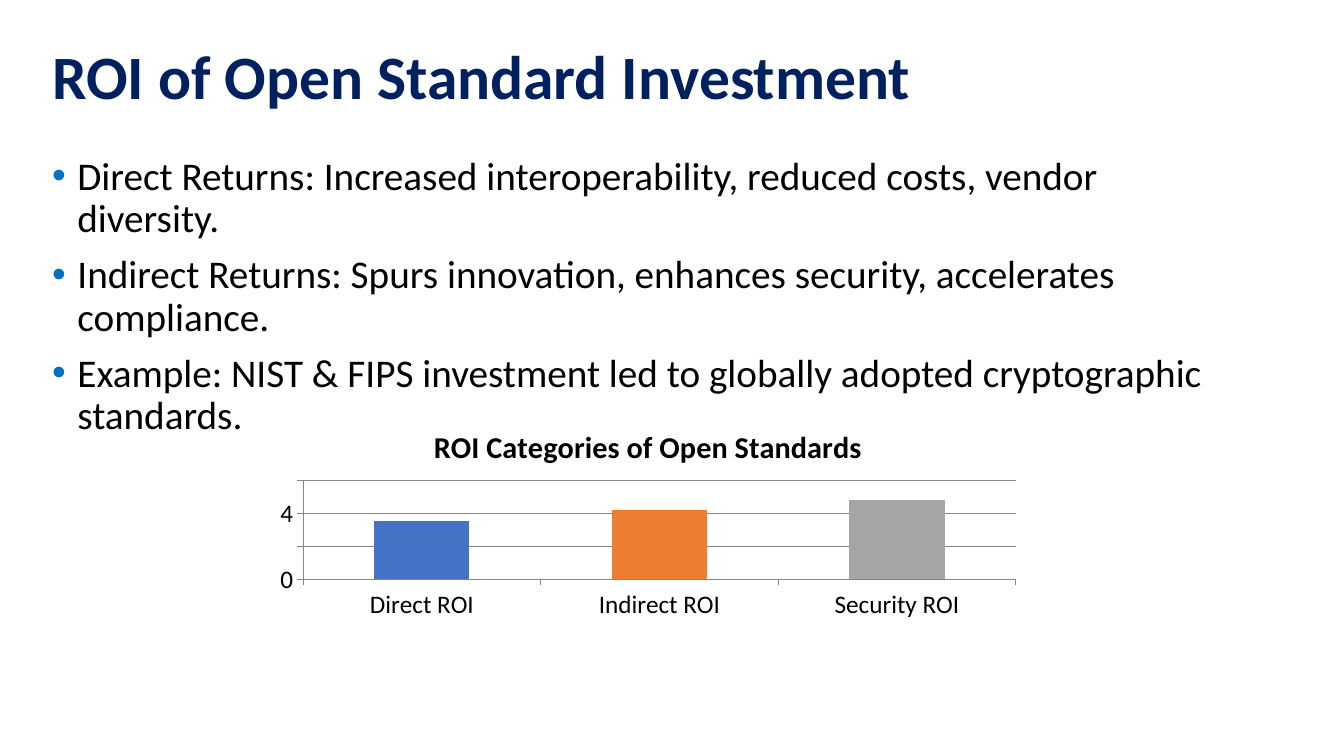
import pptx
import pptx.chart.data
import pptx.dml.color
import pptx.enum.chart
import pptx.enum.text
import pptx.oxml
import pptx.oxml.ns
import pptx.util

Pt = pptx.util.Pt
FONT = "Calibri"
TITLE = "ROI of Open Standard Investment"
POINTS = [
    "Direct Returns: Increased interoperability, reduced costs, vendor diversity.",
    "Indirect Returns: Spurs innovation, enhances security, accelerates compliance.",
    "Example: NIST & FIPS investment led to globally adopted cryptographic standards.",
]
CHART_TITLE = "ROI Categories of Open Standards"
RETURNS = [
    ("Direct ROI", 3.5, "4472C4"),
    ("Indirect ROI", 4.2, "ED7D31"),
    ("Security ROI", 4.8, "A5A5A5"),
]
LEFT, WIDTH = 30.24, 864
INDENT = 18


def color(value):
    return pptx.dml.color.RGBColor.from_string(value)


def set_font(font, size, value, bold=False):
    font.name = FONT
    font.size = Pt(size)
    font.bold = bold
    font.color.rgb = color(value)


def add_text(page, top, height, lines, size, value, bold=False, bullets=False):
    box = page.shapes.add_textbox(Pt(LEFT), Pt(top), Pt(WIDTH), Pt(height))
    frame = box.text_frame
    frame.word_wrap = True
    frame.text = "\n".join(lines)
    for index, para in enumerate(frame.paragraphs):
        para.line_spacing = 0.9
        if index:
            para.space_before = Pt(10)
        if bullets:
            add_bullet(para, "0070C0")
        set_font(para.font, size, value, bold)
    return frame


def add_bullet(para, value):
    properties = para._p.get_or_add_pPr()
    properties.set("marL", str(Pt(INDENT)))
    properties.set("indent", str(-Pt(INDENT)))
    namespace = pptx.oxml.ns.nsdecls("a")
    for markup in (
        f'<a:buClr {namespace}><a:srgbClr val="{value}"/></a:buClr>',
        f'<a:buFont {namespace} typeface="Arial"/>',
        f'<a:buChar {namespace} char="•"/>',
    ):
        properties.append(pptx.oxml.parse_xml(markup))


def add_returns_chart(page):
    names, values, fills = zip(*RETURNS)
    data = pptx.chart.data.CategoryChartData()
    data.categories = names
    data.add_series("Series 1", values)
    chart = page.shapes.add_chart(
        pptx.enum.chart.XL_CHART_TYPE.COLUMN_CLUSTERED,
        Pt(189.36), Pt(293.04), Pt(547.2), Pt(152.64), data).chart
    set_font(chart.font, 18, "000000")
    chart.has_legend = False
    chart.has_title = True
    chart.chart_title.include_in_layout = False
    heading = chart.chart_title.text_frame
    heading.text = CHART_TITLE
    set_font(heading.paragraphs[0].font, 21.6, "000000", True)

    plot = chart.plots[0]
    plot.gap_width = 150
    plot.vary_by_categories = False
    for index, fill_value in enumerate(fills):
        fill = plot.series[0].points[index].format.fill
        fill.solid()
        fill.fore_color.rgb = color(fill_value)

    scale = chart.value_axis
    scale.minimum_scale, scale.maximum_scale, scale.major_unit = 0, 6, 2
    scale.has_major_gridlines = True
    for line in (scale.format.line, scale.major_gridlines.format.line,
                 chart.category_axis.format.line):
        line.color.rgb = color("878787")
        line.width = Pt(0.75)
    for axis in (scale, chart.category_axis):
        axis.major_tick_mark = pptx.enum.chart.XL_TICK_MARK.OUTSIDE


def main():
    deck = pptx.Presentation()
    deck.slide_width, deck.slide_height = Pt(960), Pt(540)
    page = deck.slides.add_slide(deck.slide_layouts[6])
    title = add_text(page, 22.32, 68.4, [TITLE], 44, "002060", bold=True)
    title.vertical_anchor = pptx.enum.text.MSO_ANCHOR.MIDDLE
    add_text(page, 108, 339.84, POINTS, 28, "000000", bullets=True)
    add_returns_chart(page)
    deck.save("out.pptx")


if __name__ == "__main__":
    main()
